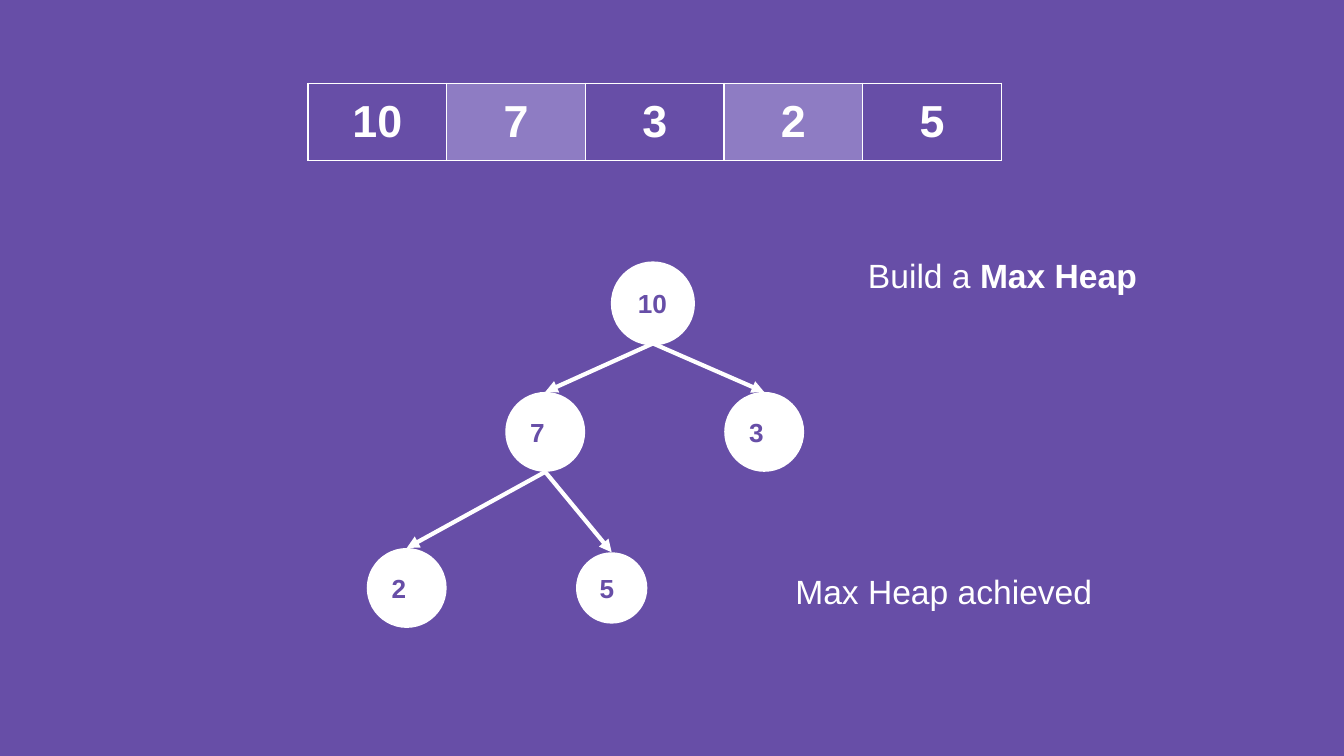
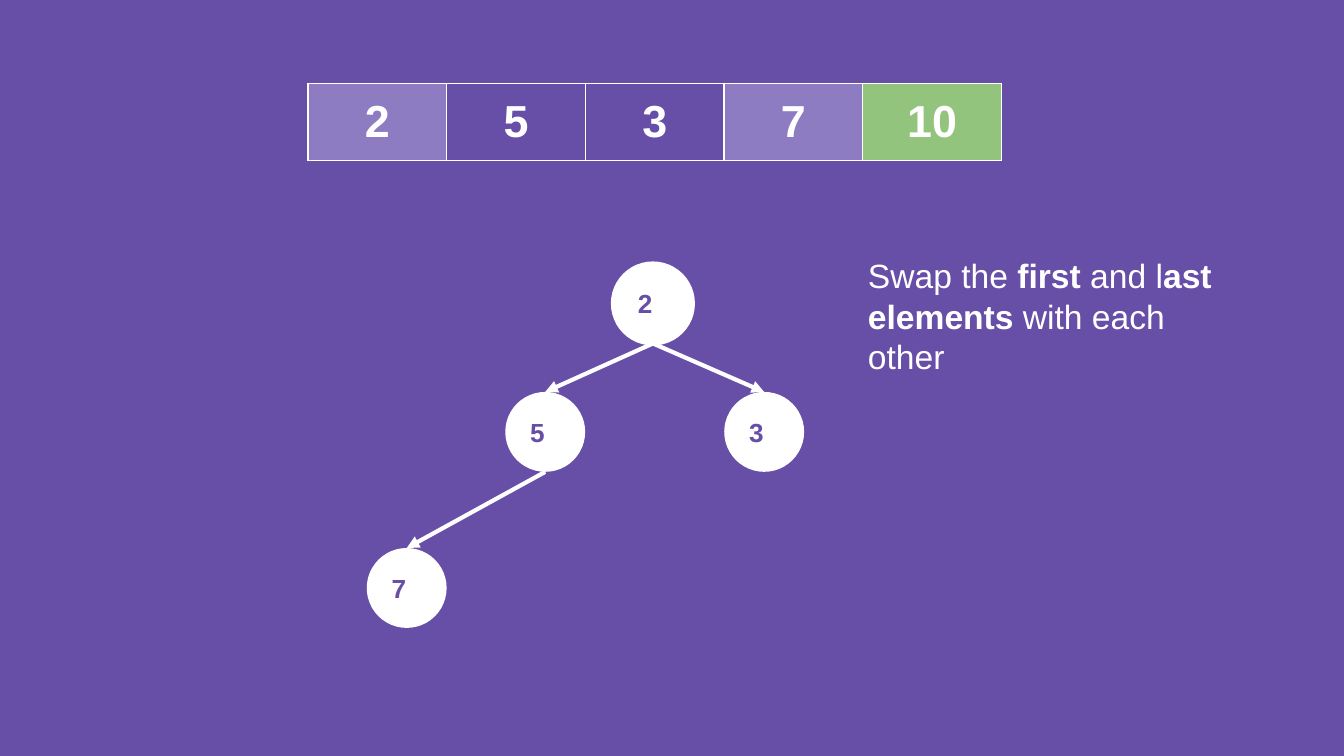
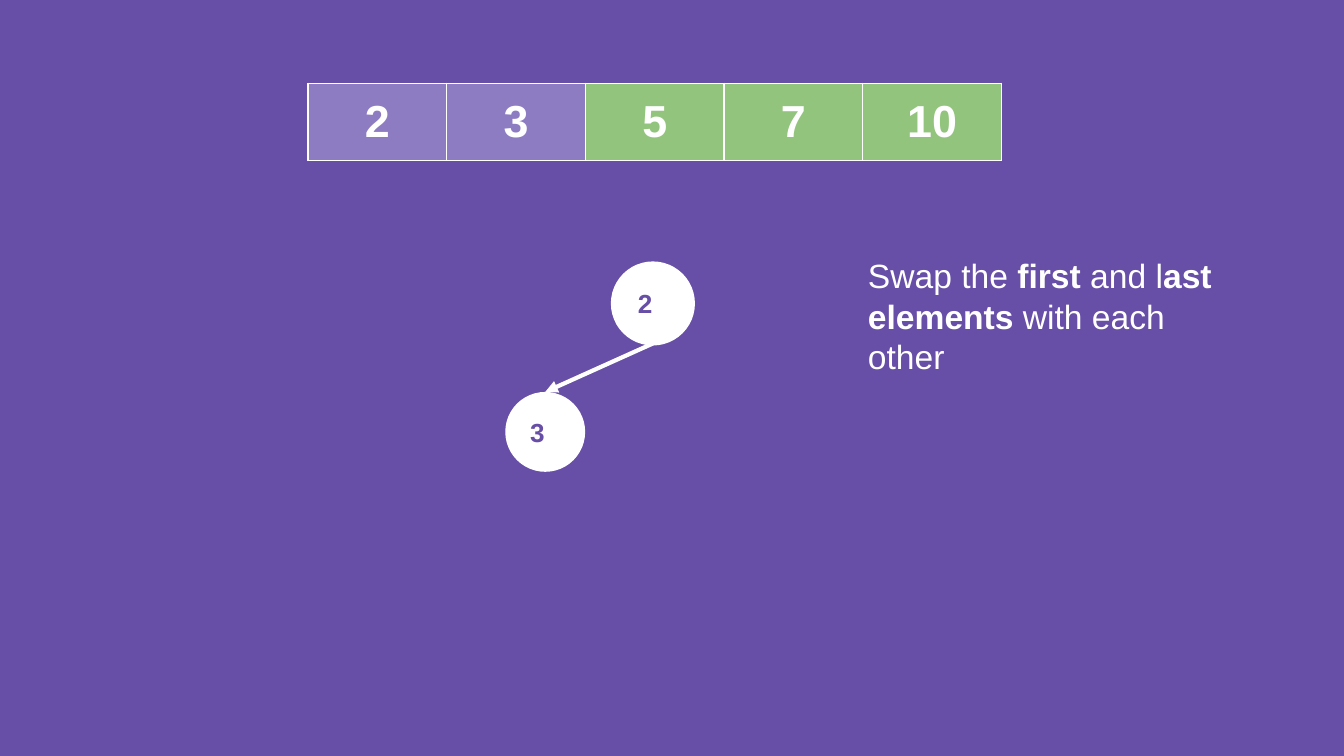
from pptx import Presentation
from pptx.dml.color import RGBColor
from pptx.enum.shapes import MSO_CONNECTOR, MSO_SHAPE
from pptx.enum.text import MSO_ANCHOR, PP_ALIGN
from pptx.oxml.ns import qn
from pptx.util import Pt
from lxml.etree import SubElement

# Shared colours
PURPLE, LILAC, GREEN, WHITE = "674EA7", "8E7CC3", "93C47D", "FFFFFF"

# Shared text formats
CELL_FONT = {"name": "Arial", "size": Pt(24), "bold": True}
NODE_FONT = {"name": "Arial", "size": Pt(14), "bold": True}
NOTE_FONT = {"name": "Arial", "size": Pt(18)}
INSETS = {f"margin_{side}": Pt(7.2) for side in ("left", "top", "right", "bottom")}

# Heap positions in array order: centre x, centre y, diameter
HEAP_SLOTS = [
    (349.8, 162.6, 42.8),
    (292.1, 231.4, 42.8),
    (409.4, 231.4, 42.8),
    (217.9, 315, 42.8),
    (327.7, 315, 38.2),
]
SWAP_NOTE = ("Swap the", " first", " and l", "ast elements ", "with each other")


def rgb(hex_string):
    return RGBColor.from_string(hex_string)


def apply(target, formats):
    for attribute, value in formats.items():
        setattr(target, attribute, value)


class HeapDeck:
    def __init__(self):
        self.deck = Presentation()
        apply(self.deck, {"slide_width": Pt(720), "slide_height": Pt(405)})
        backdrop = self.deck.slide_master.background.fill
        backdrop.solid()
        backdrop.fore_color.rgb = rgb(PURPLE)

    def new_slide(self):
        self.slide = self.deck.slides.add_slide(self.deck.slide_layouts[6])

    def styled_run(self, paragraph, text, font, color, **extra):
        run = paragraph.add_run()
        run.text = text
        apply(run.font, {**font, **extra})
        run.font.color.rgb = rgb(color)

    def array(self, values, fills):
        """Row of array cells; a fill of None leaves the cell clear."""
        frame = self.slide.shapes.add_table(
            1, len(values), Pt(165), Pt(44.6), Pt(74.3 * len(values)), Pt(34))
        table = frame.table
        apply(table, {"first_row": False, "horz_banding": False})
        for cell, value, fill in zip(table.iter_cells(), values, fills):
            apply(cell, INSETS)
            paragraph = cell.text_frame.paragraphs[0]
            paragraph.alignment = PP_ALIGN.CENTER
            self.styled_run(paragraph, str(value), CELL_FONT, WHITE)
            self.borders(cell)
            if fill:
                cell.fill.solid()
                cell.fill.fore_color.rgb = rgb(fill)
            else:
                cell.fill.background()

    def borders(self, cell):
        properties = cell._tc.get_or_add_tcPr()
        for edge in ("lnL", "lnR", "lnT", "lnB"):
            border = SubElement(properties, qn(f"a:{edge}"), w=str(Pt(0.75)))
            paint = SubElement(border, qn("a:solidFill"))
            SubElement(paint, qn("a:srgbClr"), val=WHITE)

    def node(self, value, slot, outlined):
        x, y, diameter = slot
        circle = self.slide.shapes.add_shape(
            MSO_SHAPE.OVAL, Pt(x - diameter / 2), Pt(y - diameter / 2),
            Pt(diameter), Pt(diameter))
        circle.shadow.inherit = False
        circle.fill.solid()
        circle.fill.fore_color.rgb = rgb(WHITE)
        if outlined:
            circle.line.color.rgb = rgb(WHITE)
            circle.line.width = Pt(2.25)
        else:
            circle.line.fill.background()
        apply(circle.text_frame, {**INSETS, "vertical_anchor": MSO_ANCHOR.MIDDLE})
        paragraph = circle.text_frame.paragraphs[0]
        paragraph.alignment = PP_ALIGN.LEFT
        self.styled_run(paragraph, str(value), NODE_FONT, PURPLE)
        return circle

    def branch(self, parent, child):
        """Arrow from the bottom of the parent to the top of the child."""
        arrow = self.slide.shapes.add_connector(
            MSO_CONNECTOR.STRAIGHT, parent.left + parent.width // 2,
            parent.top + parent.height, child.left + child.width // 2, child.top)
        arrow.end_connect(child, 0)
        arrow.line.color.rgb = rgb(WHITE)
        arrow.line.width = Pt(2.25)
        SubElement(arrow.line._get_or_add_ln(), qn("a:tailEnd"), type="triangle")
        SubElement(arrow._element.spPr, qn("a:effectLst"))

    def heap(self, values):
        """Binary tree: the parent of item i is item (i - 1) // 2."""
        nodes = [self.node(value, slot, outlined=i == 0)
                 for i, (value, slot) in enumerate(zip(values, HEAP_SLOTS))]
        for i in range(1, len(nodes)):
            self.branch(nodes[(i - 1) // 2], nodes[i])

    def note(self, parts, left=457.9, top=129.6, width=202.3):
        """Caption whose parts alternate between regular and bold."""
        caption = self.slide.shapes.add_textbox(Pt(left), Pt(top), Pt(width), Pt(67))
        apply(caption.text_frame, {**INSETS, "word_wrap": True})
        for i, part in enumerate(parts):
            self.styled_run(caption.text_frame.paragraphs[0], part, NOTE_FONT, WHITE,
                            bold=i % 2 == 1)


def main():
    show = HeapDeck()

    # Max heap built
    show.new_slide()
    show.array([10, 7, 3, 2, 5], [None, LILAC, None, LILAC, None])
    show.heap([10, 7, 3, 2, 5])
    show.note(["Max Heap achieved"], left=419, top=298.8, width=275)
    show.note(["Build a ", "Max Heap"], width=275)

    # Largest value sorted
    show.new_slide()
    show.array([2, 5, 3, 7, 10], [LILAC, PURPLE, None, LILAC, GREEN])
    show.heap([2, 5, 3, 7])
    show.note(SWAP_NOTE)

    # Three values sorted
    show.new_slide()
    show.array([2, 3, 5, 7, 10], [LILAC] * 2 + [GREEN] * 3)
    show.heap([2, 3])
    show.note(SWAP_NOTE)

    show.deck.save("out.pptx")


if __name__ == "__main__":
    main()
